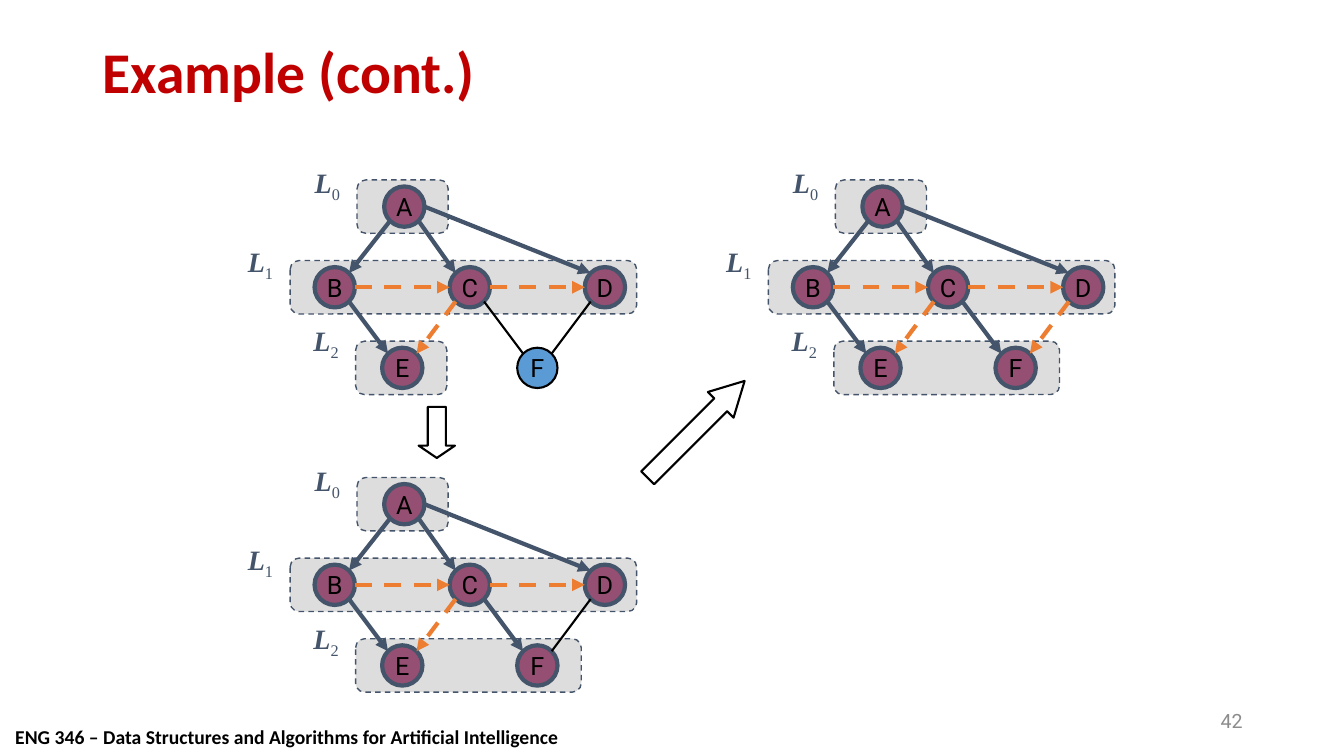
from dataclasses import dataclass
from math import cos, radians, sin

from lxml.etree import SubElement
from pptx import Presentation
from pptx.dml.color import RGBColor
from pptx.enum.dml import MSO_LINE
from pptx.enum.shapes import MSO_CONNECTOR, MSO_SHAPE
from pptx.enum.text import MSO_ANCHOR, MSO_AUTO_SIZE, PP_ALIGN
from pptx.oxml.ns import qn
from pptx.util import Inches, Pt


@dataclass(frozen=True)
class Theme:
    title: str = "C00000"
    ink: str = "000000"
    muted: str = "8C8C8C"
    slate: str = "44546A"
    orange: str = "ED7D31"
    band: str = "DDDDDD"
    visited: str = "954F72"
    unvisited: str = "5B9BD5"
    body_font: str = "Calibri"
    node_font: str = "Roboto"
    math_font: str = "Times New Roman"
    title_size: float = 41.1
    label_size: float = 20
    node_size: float = 18
    small_size: float = 14
    thick: float = 3
    medium: float = 1.5
    thin: float = 1


WIDTH, HEIGHT = 13.33, 7.5
LEFT, TOP, COL, ROW = 3.32, 2.05, 0.67, 0.8
RADIUS, BAND_H = 0.2, 0.53
SITES = ("n", "nw", "w", "sw", "s", "se", "e", "ne")

NODES = {"A": (1.03, 0), "B": (0, 1), "C": (2, 1), "D": (4, 1), "E": (1, 2), "F": (3, 2)}
EDGES = {
    "AB": ("sw", "ne"), "BE": ("se", "nw"), "CE": ("sw", "ne"),
    "AC": ("se", "nw"), "BC": ("e", "w"), "DF": ("sw", "ne"),
    "AD": ("e", "nw"), "CD": ("e", "w"), "CF": ("se", "nw"),
}
CROSS = ("BC", "CD", "CE")
WIDE, NARROW = 3.34, 1.35
STAGES = (
    ((0, 0), NARROW, ("CF", "DF"), (), ("F",)),
    ((0, 3.69), WIDE, ("DF",), (), ()),
    ((7.08, 0), WIDE, (), ("DF",), ()),
)


def rgb(value):
    return RGBColor.from_string(value)


class SlideBuilder:
    def __init__(self, prs, theme):
        self.theme = theme
        self.s = prs.slides.add_slide(prs.slide_layouts[5])

    def place(self, sp, x, y, w, h):
        sp.left, sp.top = Inches(x * WIDTH), Inches(y * HEIGHT)
        sp.width, sp.height = Inches(w * WIDTH), Inches(h * HEIGHT)

    def set_text(self, sp, text, font, size, color, align, bold=False):
        tf = sp.text_frame
        tf.text = text
        p = tf.paragraphs[0]
        p.alignment = align
        f = p.runs[0].font
        f.name, f.size, f.bold = font, Pt(size), bold
        f.color.rgb = rgb(color)
        return p

    def title(self, text, box):
        t = self.theme
        sp = self.s.shapes.title
        self.place(sp, *box)
        p = self.set_text(sp, text, t.body_font, t.title_size, t.title, PP_ALIGN.LEFT, True)
        p.line_spacing = 0.9
        sp.text_frame.vertical_anchor = MSO_ANCHOR.MIDDLE
        sp.text_frame.auto_size = MSO_AUTO_SIZE.NONE

    def text(self, text, box, font, color, align, bold=False, wrap=True):
        sp = self.s.shapes.add_textbox(0, 0, 0, 0)
        self.place(sp, *box)
        self.set_text(sp, text, font, self.theme.small_size, color, align, bold)
        sp.text_frame.word_wrap = wrap
        sp.text_frame.vertical_anchor = MSO_ANCHOR.MIDDLE

    def shape(self, shapes, kind, x, y, w, h, fill, line, weight):
        sp = shapes.add_shape(kind, Inches(x), Inches(y), Inches(w), Inches(h))
        sp.shadow.inherit = False
        if fill:
            sp.fill.solid()
            sp.fill.fore_color.rgb = rgb(fill)
        else:
            sp.fill.background()
        sp.line.color.rgb = rgb(line)
        sp.line.width = Pt(weight)
        return sp

    def block_arrow(self, x, y, w, h, rotation, head):
        sp = self.shape(self.s.shapes, MSO_SHAPE.RIGHT_ARROW, x * WIDTH, y * HEIGHT,
                        w * WIDTH, h * HEIGHT, None, self.theme.ink, self.theme.medium)
        sp.rotation = rotation
        sp.adjustments[1] = head

    def band(self, shapes, x, y, cols):
        t = self.theme
        sp = self.shape(shapes, MSO_SHAPE.ROUNDED_RECTANGLE, x, y - BAND_H / 2,
                        cols * COL, BAND_H, t.band, t.slate, t.thin)
        sp.line.dash_style = MSO_LINE.DASH

    def node(self, shapes, name, x, y, visited):
        t = self.theme
        style = (t.visited, t.slate, t.thick) if visited else (t.unvisited, t.ink, t.medium)
        sp = self.shape(shapes, MSO_SHAPE.OVAL, x - RADIUS, y - RADIUS,
                        2 * RADIUS, 2 * RADIUS, *style)
        self.set_text(sp, name, t.node_font, t.node_size, t.ink, PP_ALIGN.CENTER)
        sp.text_frame.word_wrap = False
        sp.text_frame.vertical_anchor = MSO_ANCHOR.MIDDLE
        return sp

    def edge(self, shapes, ends, color, weight, dashed, arrow):
        points = []
        for sp, site in ends:
            angle = radians(90 + 45 * SITES.index(site))
            points += [sp.left + sp.width // 2 + Inches(RADIUS * cos(angle)),
                       sp.top + sp.height // 2 - Inches(RADIUS * sin(angle))]
        c = shapes.add_connector(MSO_CONNECTOR.STRAIGHT, *points)
        joints = c._element.find(f"{qn('p:nvCxnSpPr')}/{qn('p:cNvCxnSpPr')}")
        for tag, (sp, site) in zip(("a:stCxn", "a:endCxn"), ends):
            SubElement(joints, qn(tag), id=str(sp.shape_id), idx=str(SITES.index(site)))
        c.line.color.rgb = rgb(color)
        c.line.width = Pt(weight)
        if dashed:
            c.line.dash_style = MSO_LINE.DASH
        spPr = c._element.spPr
        if arrow:
            SubElement(spPr.find(qn("a:ln")), qn("a:tailEnd"), type="triangle")
        SubElement(spPr, qn("a:effectLst"))

    def level_label(self, shapes, level, x, y):
        t = self.theme
        sp = shapes.add_textbox(Inches(x), Inches(y), Inches(0.51), Inches(0.48))
        sp.text_frame.word_wrap = True
        p = self.set_text(sp, "L", t.math_font, t.label_size, t.slate, PP_ALIGN.CENTER, True)
        p.runs[0].font.italic = True
        r = p.add_run()
        r.text = str(level)
        r.font.name, r.font.size = t.math_font, Pt(t.label_size)
        r.font.color.rgb = rgb(t.slate)
        r.font._element.set("baseline", "-25000")

    def graph(self, origin, last_band, unexplored, extra_cross, unvisited):
        t = self.theme
        left, top = LEFT + origin[0] * COL, TOP + origin[1] * ROW
        shapes = self.s.shapes.add_group_shape().shapes
        bands = ((0.33, NARROW), (-0.66, 5.13), (0.31, last_band))
        for level, (col, cols) in enumerate(bands):
            self.band(shapes, left + col * COL, top + level * ROW, cols)
        nodes = {name: self.node(shapes, name, left + col * COL, top + row * ROW,
                                 name not in unvisited)
                 for name, (col, row) in NODES.items()}
        for pair, sites in EDGES.items():
            ends = [(nodes[name], site) for name, site in zip(pair, sites)]
            if pair in unexplored:
                self.edge(shapes, ends, t.ink, t.medium, False, False)
            else:
                cross = pair in CROSS + extra_cross
                self.edge(shapes, ends, t.orange if cross else t.slate, t.thick, cross, True)
        for level, (col, cols) in enumerate(bands):
            self.level_label(shapes, level, left + (col - 0.82) * COL,
                             top + (level * 0.98 - 0.57) * ROW)


def main():
    prs = Presentation()
    prs.slide_width, prs.slide_height = Inches(WIDTH), Inches(HEIGHT)
    t = Theme()
    b = SlideBuilder(prs, t)
    b.title("Example (cont.)", (0.069, 0.053, 0.863, 0.093))
    b.text("ENG 346 – Data Structures and Algorithms for Artificial Intelligence",
           (0.004, 0.953, 0.422, 0.044), t.body_font, t.ink, PP_ALIGN.LEFT, True, False)
    b.text("42", (0.707, 0.927, 0.225, 0.053), t.node_font, t.muted, PP_ALIGN.RIGHT)
    for stage in STAGES:
        b.graph(*stage)
    b.block_arrow(0.467, 0.544, 0.102, 0.048, 315, 0.93)
    b.block_arrow(0.306, 0.548, 0.038, 0.048, 90, 0.34)
    prs.save("out.pptx")


if __name__ == "__main__":
    main()
